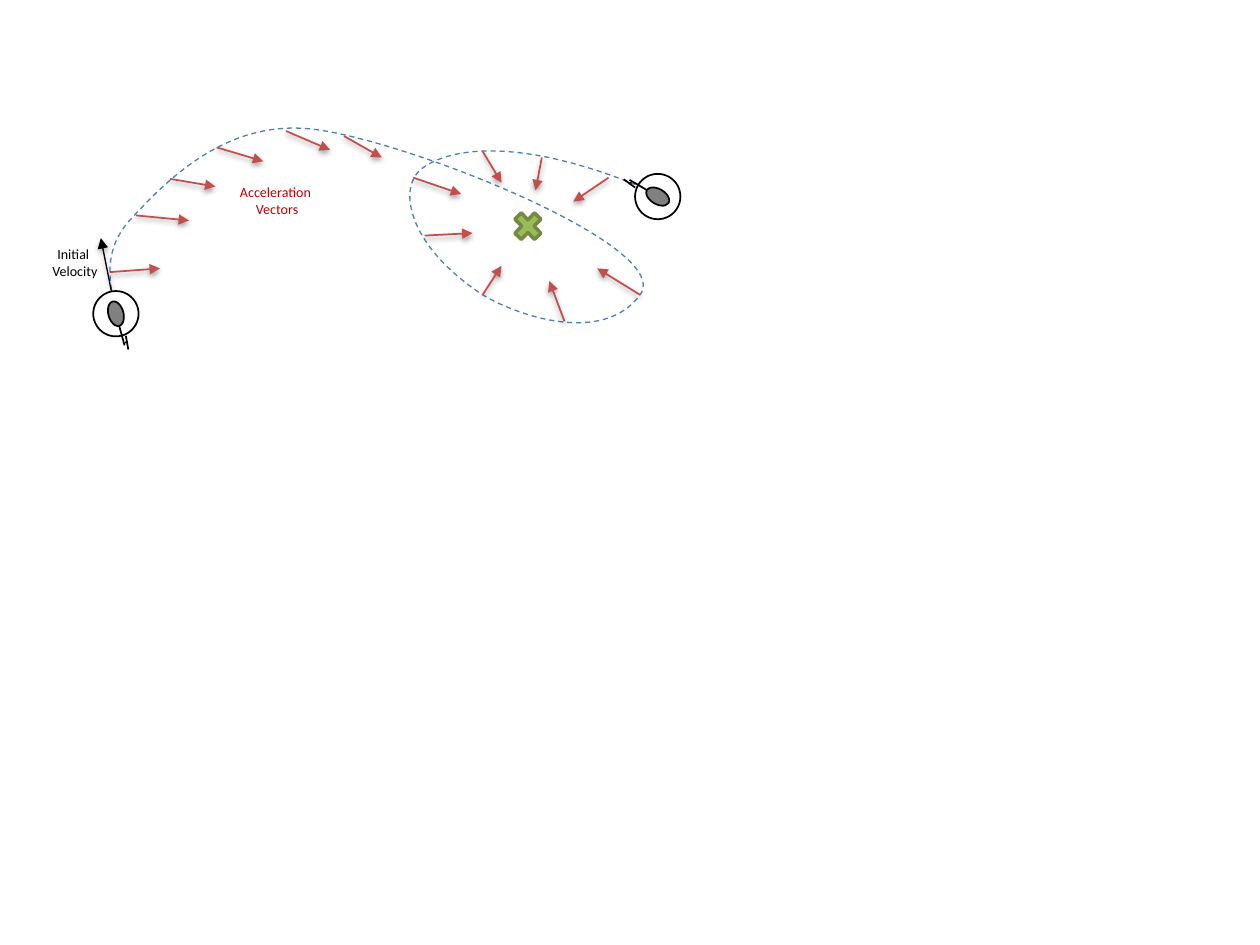
"""Draw a robot's curved path towards a goal, with its acceleration vectors."""
from math import cos, radians, sin

from lxml.etree import SubElement
from pptx import Presentation
from pptx.dml.color import RGBColor
from pptx.enum.dml import MSO_LINE
from pptx.enum.shapes import MSO_CONNECTOR, MSO_SHAPE
from pptx.enum.text import MSO_AUTO_SIZE, PP_ALIGN
from pptx.oxml.ns import qn
from pptx.util import Inches, Pt

BLACK = RGBColor(0x00, 0x00, 0x00)
WHITE = RGBColor(0xFF, 0xFF, 0xFF)
GRAY = RGBColor(0x80, 0x80, 0x80)
BLUE = RGBColor(0x4B, 0x7E, 0xBC)
RED = RGBColor(0xC0, 0x50, 0x4D)
DARK_RED = RGBColor(0xC0, 0x00, 0x00)
GREEN = RGBColor(0x9B, 0xBB, 0x59)
DARK_GREEN = RGBColor(0x73, 0x8A, 0x42)

TRAJECTORY = [
    (0.96, 2.65),
    (0.89, 2.33), (0.78, 2.04), (1.02, 1.76),
    (1.27, 1.49), (1.74, 0.97), (2.42, 1.02),
    (3.10, 1.06), (5.37, 1.95), (5.08, 2.34),
    (4.79, 2.74), (4.11, 2.51), (3.83, 2.34),
    (3.22, 1.94), (3.15, 1.47), (3.36, 1.33),
    (3.57, 1.18), (4.10, 1.08), (5.08, 1.48),
]
ACCELERATIONS = [
    (0.87, 2.16, 1.27, 2.13), (1.08, 1.71, 1.50, 1.75),
    (1.35, 1.42, 1.71, 1.48), (1.72, 1.17, 2.09, 1.28),
    (2.27, 1.04, 2.62, 1.19), (2.73, 1.08, 3.03, 1.25),
    (5.08, 2.34, 4.74, 2.13), (4.48, 2.55, 4.36, 2.23),
    (3.83, 2.34, 3.98, 2.11), (3.37, 1.87, 3.75, 1.85),
    (3.28, 1.41, 3.66, 1.54), (3.83, 1.20, 3.98, 1.45),
    (4.30, 1.25, 4.25, 1.51), (4.83, 1.41, 4.55, 1.60),
]
TAIL_LINES = [
    (0, 0.18, 0, 0.26),
    (0.03, 0.19, 0.02, 0.3),
    (0.01, 0.24, 0.03, 0.24),
]
STEM = (0, 0.1, 0, 0.18)


def add_figure(shapes, kind, box, fill, outline, width):
    """Add a filled preset shape without a shadow."""
    figure = shapes.add_shape(kind, *map(Inches, box))
    figure.shadow.inherit = False
    figure.fill.solid()
    figure.fill.fore_color.rgb = fill
    figure.line.color.rgb = outline
    figure.line.width = Pt(width)
    return figure


def add_line(shapes, ends, color, width):
    """Add a straight line and return it with its empty effect list."""
    line = shapes.add_connector(MSO_CONNECTOR.STRAIGHT, *map(Inches, ends))
    line.line.color.rgb = color
    line.line.width = Pt(width)
    effects = SubElement(line._element.spPr, qn("a:effectLst"))
    return line, effects


def add_arrow(shapes, ends, color, width):
    """Add an arrow with a soft shadow below it."""
    arrow, effects = add_line(shapes, ends, color, width)
    SubElement(arrow.line._get_or_add_ln(), qn("a:tailEnd"), type="triangle")
    shadow = SubElement(effects, qn("a:outerShdw"), blurRad="40000",
                        dist="20000", dir="5400000", rotWithShape="0")
    tint = SubElement(shadow, qn("a:srgbClr"), val="000000")
    SubElement(tint, qn("a:alpha"), val="38000")


def add_curve(shapes, points):
    """Add a dashed Bezier curve through every third point."""
    start, *controls = [(Inches(x), Inches(y)) for x, y in points]
    builder = shapes.build_freeform(*start)
    builder.add_line_segments(controls, close=False)
    curve = builder.convert_to_shape()
    curve.shadow.inherit = False
    curve.fill.background()
    curve.line.color.rgb = BLUE
    curve.line.width = Pt(0.75)
    curve.line.dash_style = MSO_LINE.DASH
    segments = list(curve._element.iter(qn("a:lnTo")))
    outline = segments[0].getparent()
    for first in range(0, len(segments), 3):
        bezier = SubElement(outline, qn("a:cubicBezTo"))
        for segment in segments[first:first + 3]:
            bezier.append(segment[0])
            outline.remove(segment)


def add_label(shapes, box, lines, color):
    """Add a small centred label."""
    label = shapes.add_textbox(*map(Inches, box))
    frame = label.text_frame
    frame.word_wrap = False
    frame.auto_size = MSO_AUTO_SIZE.SHAPE_TO_FIT_TEXT
    frame.text = "\n".join(lines)
    for paragraph in frame.paragraphs:
        paragraph.alignment = PP_ALIGN.CENTER
        paragraph.font.name = "Calibri"
        paragraph.font.size = Pt(8)
        paragraph.font.color.rgb = color


def add_robot(shapes, center_x, center_y, angle):
    """Add a grouped round robot with its tail, turned clockwise."""
    robot = shapes.add_group_shape().shapes
    cosine, sine = cos(radians(angle)), sin(radians(angle))

    def turn(x, y):
        """Rotate a point about the robot's centre."""
        return (center_x + x * cosine - y * sine,
                center_y + x * sine + y * cosine)

    def add_ellipse(width, height, fill):
        """Add an ellipse on the robot's centre."""
        box = (center_x - width / 2, center_y - height / 2, width, height)
        add_figure(robot, MSO_SHAPE.OVAL, box, fill, BLACK, 1).rotation = angle

    def add_part(x1, y1, x2, y2):
        """Add one line of the tail."""
        add_line(robot, turn(x1, y1) + turn(x2, y2), BLACK, 1)

    add_ellipse(0.36, 0.36, WHITE)
    for ends in TAIL_LINES:
        add_part(*ends)
    add_ellipse(0.12, 0.2, GRAY)
    add_part(*STEM)


def main():
    """Build and save the deck."""
    deck = Presentation()
    deck.slide_width, deck.slide_height = Inches(10), Inches(7.5)
    page = deck.slides.add_slide(deck.slide_layouts[6])
    shapes = page.shapes
    add_figure(shapes, MSO_SHAPE.MATH_MULTIPLY, (4.04, 1.64, 0.3, 0.31),
               GREEN, DARK_GREEN, 2)
    add_curve(shapes, TRAJECTORY)
    for ends in ACCELERATIONS:
        add_arrow(shapes, ends, RED, 1)
    add_arrow(shapes, (0.92, 2.49, 0.8, 1.89), BLACK, 0.75)
    add_label(shapes, (0.31, 1.9, 0.57, 0.37), ["Initial ", "Velocity"], BLACK)
    add_label(shapes, (1.8, 1.41, 0.8, 0.37),
              ["Acceleration ", "Vectors"], DARK_RED)
    add_robot(shapes, 0.92, 2.49, 344.7)
    add_robot(shapes, 5.22, 1.56, 120.7)
    deck.save("out.pptx")


main()
